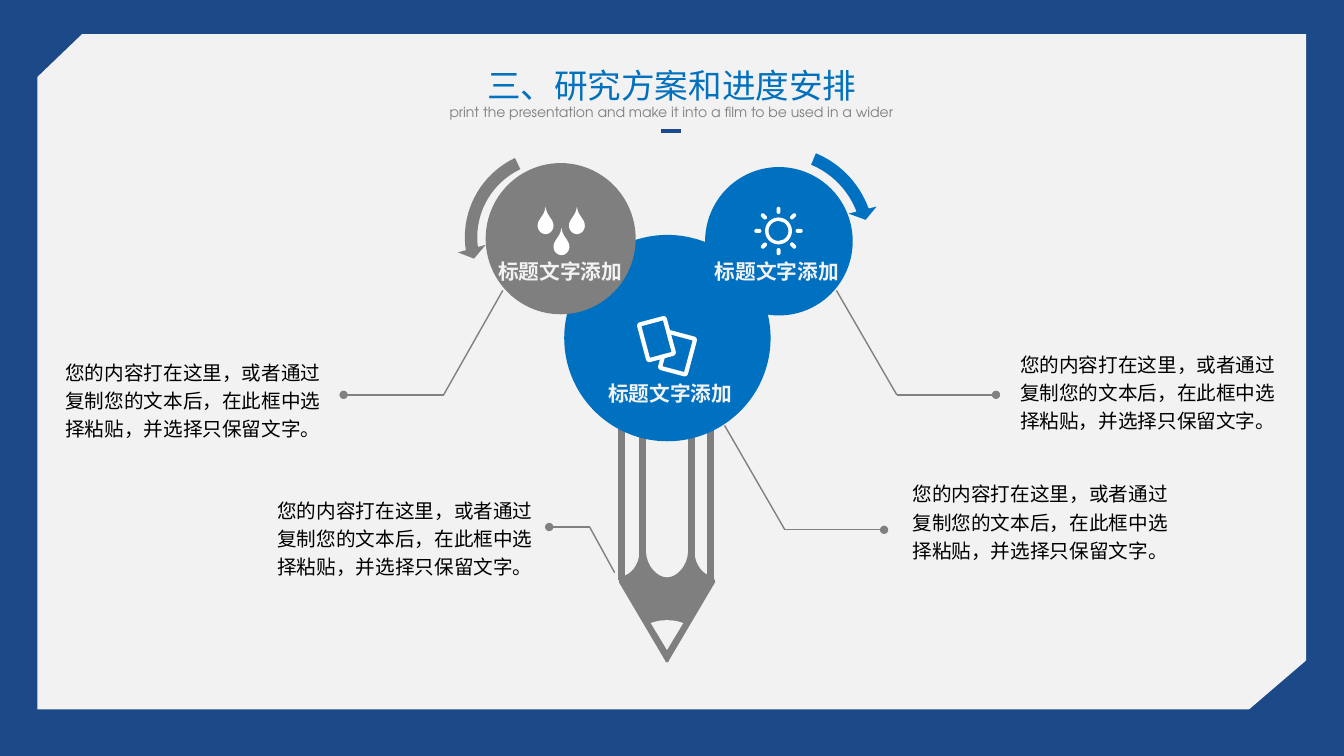
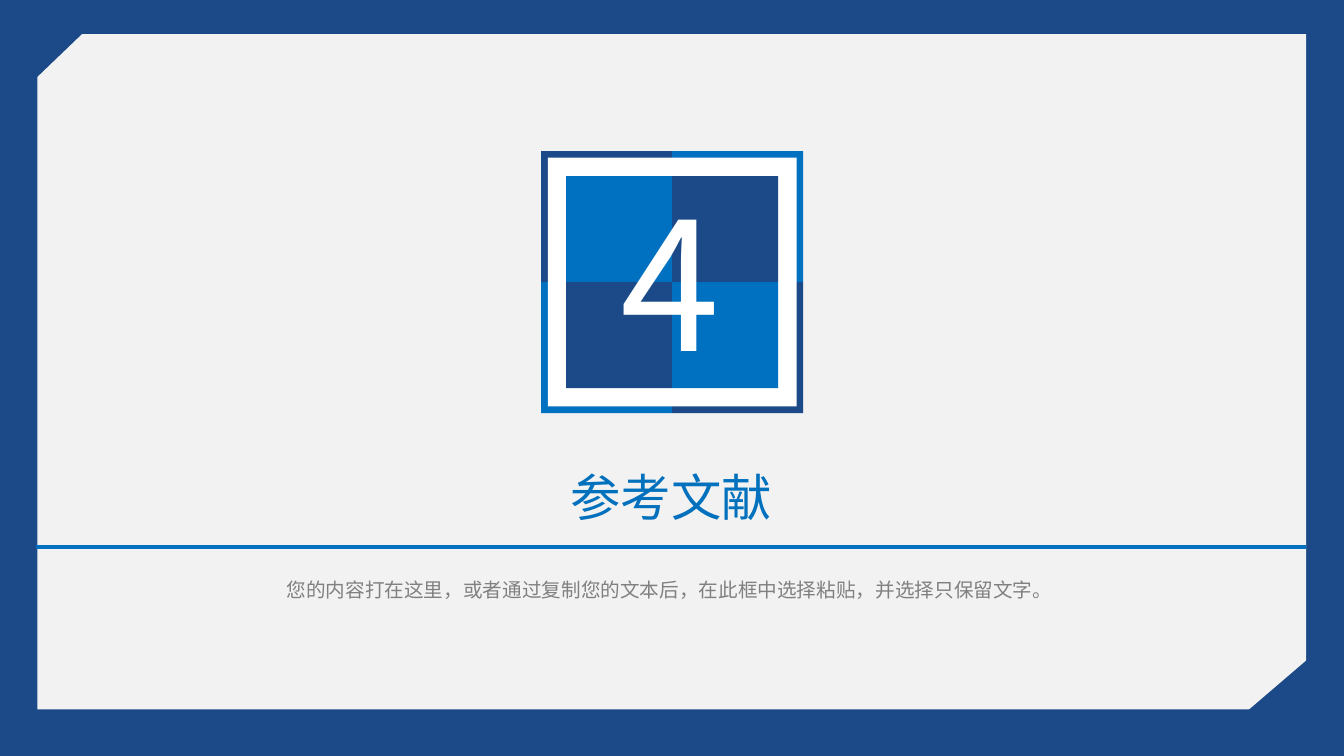
"""Build a pencil diagram slide and a section slide in a shared cut-corner frame."""
import math

from lxml import etree
from pptx import Presentation
from pptx.dml.color import RGBColor
from pptx.enum.lang import MSO_LANGUAGE_ID
from pptx.enum.shapes import MSO_CONNECTOR, MSO_SHAPE
from pptx.enum.text import MSO_ANCHOR, PP_ALIGN
from pptx.oxml.ns import qn
from pptx.util import Cm, Pt

RECT, OVAL, DONUT = MSO_SHAPE.RECTANGLE, MSO_SHAPE.OVAL, MSO_SHAPE.DONUT
ROUNDED = MSO_SHAPE.ROUNDED_RECTANGLE
LEFT_ARC, RIGHT_ARC = MSO_SHAPE.LEFT_CIRCULAR_ARROW, MSO_SHAPE.CIRCULAR_ARROW
STRAIGHT = MSO_CONNECTOR.STRAIGHT
CENTER, MIDDLE = PP_ALIGN.CENTER, MSO_ANCHOR.MIDDLE
CHINESE = MSO_LANGUAGE_ID.SIMPLIFIED_CHINESE

NAVY = RGBColor(0x1C, 0x49, 0x87)
BLUE = RGBColor(0x00, 0x70, 0xC0)
TITLE_BLUE = RGBColor(0x01, 0x70, 0xBD)
PANEL = RGBColor(0xF2, 0xF2, 0xF2)
GRAY = RGBColor(0x7F, 0x7F, 0x7F)
NOTE_GRAY = RGBColor(0x80, 0x80, 0x80)
WHITE = RGBColor(0xFF, 0xFF, 0xFF)
BLACK = RGBColor(0x00, 0x00, 0x00)
HEAD_FONT, BODY_FONT, NOTE_FONT = "Noto Sans CJK SC", "Arial", "TeX Gyre Adventor"
BODY = "您的内容打在这里，或者通过复制您的文本后，在此框中选择粘贴，并选择只保留文字。"
LABEL = "标题文字添加"


def add_block(slide, preset, x, y, w, h, fill, turn=0):
    block = slide.shapes.add_shape(preset, Cm(x), Cm(y), Cm(w), Cm(h))
    block.shadow.inherit = False
    block.fill.solid()
    block.fill.fore_color.rgb = fill
    block.line.fill.background()
    block.rotation = turn
    return block


def add_text(slide, text, x, y, w, h, size, font, color, spacing=1.0):
    frame = slide.shapes.add_textbox(Cm(x), Cm(y), Cm(w), Cm(h)).text_frame
    frame.word_wrap = True
    paragraph = frame.paragraphs[0]
    paragraph.alignment = CENTER
    paragraph.line_spacing = spacing
    run = paragraph.add_run()
    run.text = text
    run.font.size = Pt(size)
    run.font.name = font
    run.font.color.rgb = color
    run.font.language_id = CHINESE
    east_asian = HEAD_FONT if font == HEAD_FONT else NOTE_FONT
    etree.SubElement(run.font._element, qn("a:ea"), typeface=east_asian)
    return frame


prs = Presentation()
prs.slide_width, prs.slide_height = Cm(33.87), Cm(19.05)
prs.slide_master.background.fill.solid()
prs.slide_master.background.fill.fore_color.rgb = NAVY
plan, section = [prs.slides.add_slide(prs.slide_layouts[6]) for _ in range(2)]

for slide in (plan, section):
    add_block(slide, RECT, 0.94, 0.86, 31.98, 17.02, PANEL)
    for x, y, w, h, turn in ((-0.3, -1.04, 2.03, 3.53, 46.2),
                             (31.8, 16.08, 2.16, 4.09, 49.4)):
        corner = add_block(slide, RECT, x, y, w, h, NAVY, turn)
        corner.line.color.rgb = NAVY
        corner.line.width = Pt(1)

callouts = (
    ((12.67, 7.32), (11.18, 9.95), (8.66, 9.95), (1.37, 8.84, 6.99)),
    ((15.49, 14.43), (14.86, 13.28), (13.84, 13.28), (6.63, 12.32, 7.16)),
    ((21.08, 7.32), (22.6, 9.95), (25.1, 9.95), (25.37, 8.64, 7.11)),
    ((18.26, 10.72), (19.78, 13.35), (22.28, 13.35), (22.66, 11.91, 7.11)),
)
lines = [(plan, (16.66, 3.3), (17.17, 3.3), NAVY, 3, False),
         (section, (0.91, 13.79), (32.92, 13.79), BLUE, 3, False)]
for x, top in ((15.67, 10.49), (17.91, 10.49), (16.2, 10.13), (17.42, 10.13)):
    lines.append((plan, (x, top), (x, top + 4.12), GRAY, 5, False))
for origin, bend, dot, (x, y, w) in callouts:
    lines.append((plan, origin, bend, NOTE_GRAY, 1, False))
    lines.append((plan, bend, dot, NOTE_GRAY, 1, True))
    add_text(plan, BODY, x, y, w, 3.07, 14, BODY_FONT, BLACK, 1.2)

for slide, start, end, color, width, dotted in lines:
    connector = slide.shapes.add_connector(
        STRAIGHT, Cm(start[0]), Cm(start[1]), Cm(end[0]), Cm(end[1]))
    connector.line.color.rgb = color
    connector.line.width = Pt(width)
    properties = connector.element.spPr
    if dotted:
        etree.SubElement(properties.find(qn("a:ln")), qn("a:tailEnd"), type="oval")
    etree.SubElement(properties, qn("a:effectLst"))

add_text(plan, "三、研究方案和进度安排", 11.2, 1.5, 11.46, 1.27, 24, HEAD_FONT, TITLE_BLUE)
add_text(plan, "print the presentation and make it into a film to be used in a wider",
         10.97, 2.41, 11.89, 0.71, 10, NOTE_FONT, NOTE_GRAY, 1.2)

for x, y, w, h, fill in ((14.22, 5.92, 5.2, 5.2, BLUE),
                         (12.24, 4.11, 3.78, 3.81, GRAY),
                         (17.77, 4.21, 3.72, 3.74, BLUE)):
    add_block(plan, OVAL, x, y, w, h, fill)

arcs = (
    (LEFT_ARC, 11.51, 3.56, 4.85, 4.83, GRAY, 357.1, (0.065, 4.3, 104.891, 148.378, 0.075)),
    (RIGHT_ARC, 17.02, 3.48, 5.23, 5.21, BLUE, 117.5, (0.06, 3.941, 133.138, 105.082, 0.07)),
)
for preset, x, y, w, h, fill, turn, values in arcs:
    arc = add_block(plan, preset, x, y, w, h, fill, turn)
    for index, value in enumerate(values):
        arc.adjustments[index] = value

pencil_tip = (
    ((0, 16.69),),
    ((0.03, 16.69), (0.05, 16.66), (0.05, 16.64)),
    ((1.19, 14.71),),
    ((1.22, 14.67), (1.22, 14.63), (1.19, 14.6)),
    ((1.19, 14.55), (1.17, 14.55), (1.14, 14.53)),
    ((0.91, 14.48), (0.71, 14.25), (0.69, 13.92)),
    ((0.67, 13.85), (0.65, 13.82), (0.61, 13.82)),
    ((0.56, 13.82), (0.53, 13.87), (0.53, 13.92)),
    ((0.51, 14.27), (0.25, 14.55), (0, 14.55)),
)
pencil_lead = (((0, 16.38),), ((0.41, 15.7),), ((0.2, 15.63), (0.1, 15.63), (0, 15.63)))
drop = (((0, 0),), ((0.03, 0.25), (0.2, 0.3), (0.2, 0.48)),
        ((0.2, 0.59), (0.11, 0.69), (0, 0.69)))
symmetric_parts = ((pencil_tip, 16.81, 0, GRAY), (pencil_lead, 16.81, 0, PANEL),
                   (drop, 13.75, 5.21, WHITE), (drop, 14.54, 5.21, WHITE),
                   (drop, 14.15, 5.74, WHITE))
for half, center_x, top, fill in symmetric_parts:
    side = [half[0][0]]
    for segment in half[1:]:
        if len(segment) == 1:
            side.append(segment[0])
            continue
        controls = (side[-1], *segment)
        for step in range(1, 9):
            t = step / 8
            side.append(tuple(
                sum(math.comb(3, k) * (1 - t) ** (3 - k) * t ** k * controls[k][axis]
                    for k in range(4)) for axis in (0, 1)))
    points = side + [(-x, y) for x, y in reversed(side[1:-1])]
    points = [(Cm(center_x + x), Cm(top + y)) for x, y in points]
    builder = plan.shapes.build_freeform(*points[0])
    builder.add_line_segments(points[1:])
    part = builder.convert_to_shape()
    part.shadow.inherit = False
    part.fill.solid()
    part.fill.fore_color.rgb = fill
    part.line.fill.background()

sun_x, sun_y = 19.62, 5.82
sun = add_block(plan, DONUT, sun_x - 0.34, sun_y - 0.34, 0.68, 0.68, WHITE)
sun.adjustments[0] = 0.13
for angle in range(0, 360, 45):
    ray_x = sun_x + 0.52 * math.sin(math.radians(angle))
    ray_y = sun_y - 0.52 * math.cos(math.radians(angle))
    ray = add_block(plan, ROUNDED, ray_x - 0.05, ray_y - 0.09, 0.1, 0.18, WHITE, angle)
    ray.adjustments[0] = 0.5

for x, y, turn in ((16.74, 8.44, 15), (16.21, 8.08, -15)):
    card = add_block(plan, ROUNDED, x, y, 0.67, 0.93, BLUE, turn)
    card.adjustments[0] = 0.05
    card.line.color.rgb = WHITE
    card.line.width = Pt(3)

for x, y, w in ((15.06, 9.7, 3.66), (12.45, 6.63, 3.33), (17.91, 6.63, 3.33)):
    label = add_text(plan, LABEL, x, y, w, 0.51, 14.8, HEAD_FONT, PANEL, 0.8)
    label.margin_left = label.margin_right = label.margin_top = label.margin_bottom = 0
    label.word_wrap = False
    label.vertical_anchor = MIDDLE
    label.paragraphs[0].runs[0].font.bold = True

badge_x, badge_y = 16.94, 7.11
for side, colors in ((6.6, (NAVY, BLUE)), (6.27, (WHITE,)), (5.34, (BLUE, NAVY))):
    count = len(colors)
    cell = side / count
    for row in range(count):
        for column in range(count):
            add_block(section, RECT, badge_x - side / 2 + column * cell,
                      badge_y - side / 2 + row * cell, cell, cell,
                      colors[(row + column) % count])

number = add_text(section, "4", 15.29, 4.22, 3.2, 5.74, 128, HEAD_FONT, WHITE)
number.word_wrap = False
add_text(section, "参考文献", 6.73, 11.61, 20.37, 1.8, 36, HEAD_FONT, TITLE_BLUE)
add_text(section, BODY, 5.16, 14.15, 23.44, 1.07, 14, NOTE_FONT, NOTE_GRAY, 1.5)

prs.save("out.pptx")
